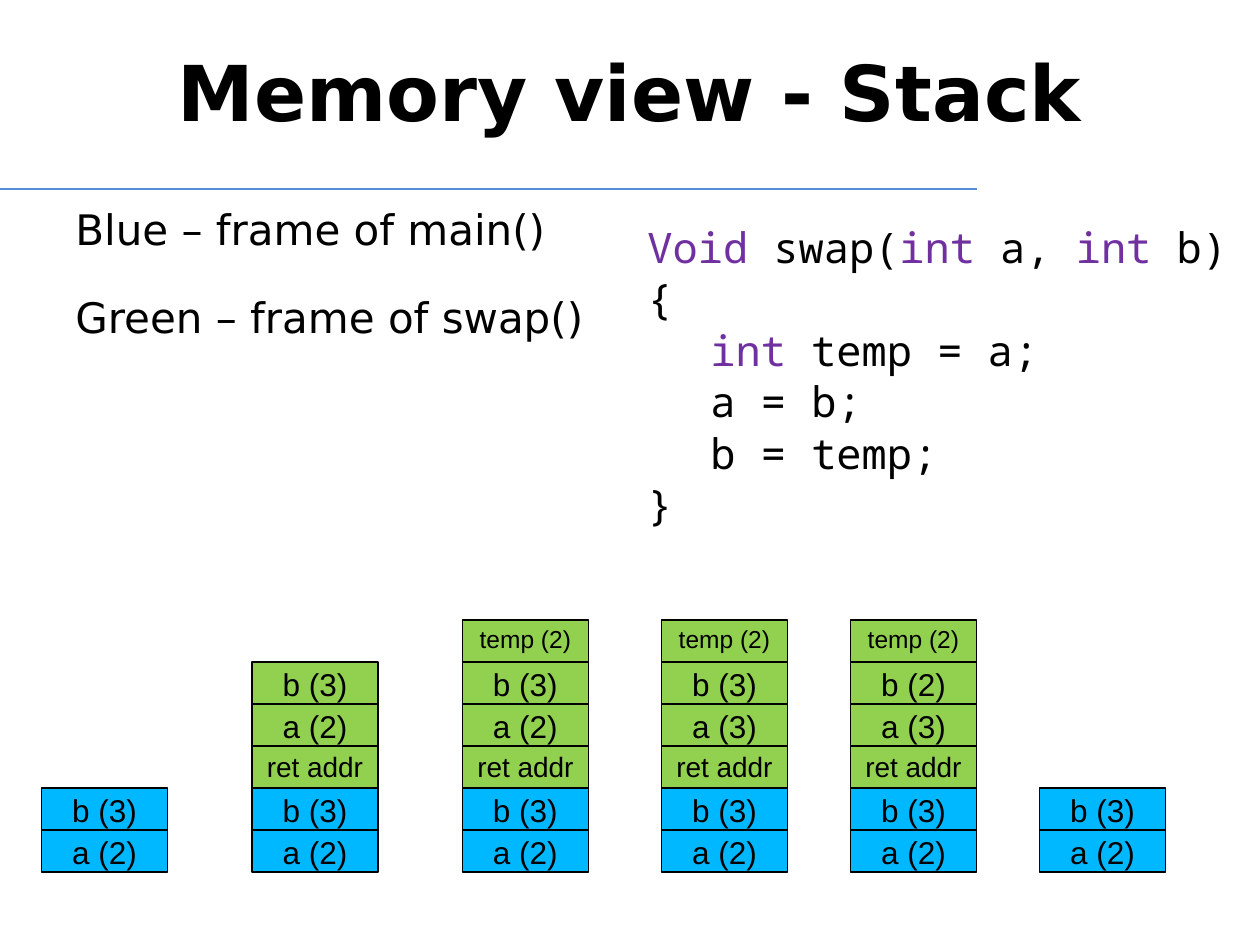
"""Build a slide showing how the call stack changes while swap() runs."""
from dataclasses import dataclass

import pptx
import pptx.dml.color
import pptx.enum.shapes
import pptx.enum.text
import pptx.oxml
import pptx.oxml.ns
import pptx.util
from pptx.util import Inches

COLORS = {"main": "00B8FF", "swap": "92D050", "rule": "558ED5",
          "keyword": "7030A0", "text": "000000"}
CELL_WIDTH, CELL_HEIGHT = 1, 1 / 3
STACK_BOTTOM = 6.92
LABEL_SIZES = {"temp (2)": 14, "ret addr": 16}


@dataclass
class Stack:
    """One state of the stack, each frame listed from the bottom up."""
    left: float
    main_frame: tuple[str, ...] = ("a (2)", "b (3)")
    swap_frame: tuple[str, ...] = ()


@dataclass
class CodeLine:
    """A line of code as pieces of text, each marked as keyword or not."""
    pieces: tuple[tuple[str, bool], ...]
    indent: float = 0.12


STACKS = [
    Stack(0.33),
    Stack(2, swap_frame=("ret addr", "a (2)", "b (3)")),
    Stack(3.67, swap_frame=("ret addr", "a (2)", "b (3)", "temp (2)")),
    Stack(5.25, swap_frame=("ret addr", "a (3)", "b (3)", "temp (2)")),
    Stack(6.75, swap_frame=("ret addr", "a (3)", "b (2)", "temp (2)")),
    Stack(8.25),
]
CODE = [
    CodeLine((("Void ", True), ("swap(", False), ("int ", True),
              ("a, ", False), ("int", True), (" b)", False))),
    CodeLine((("{", False),)),
    CodeLine((("int", True), (" temp = a;", False)), 0.62),
    CodeLine((("a = b;", False),), 0.62),
    CodeLine((("b = temp;", False),), 0.62),
    CodeLine((("}", False),)),
]
LEGEND = ["Blue – frame of main()", "Green – frame of swap()"]


def rgb(name: str) -> pptx.dml.color.RGBColor:
    """Return the named colour."""
    return pptx.dml.color.RGBColor.from_string(COLORS[name])


def style(font, typeface: str, size: float, bold: bool = False) -> None:
    """Set typeface, size and weight in the text colour."""
    font.name, font.size, font.bold = typeface, pptx.util.Pt(size), bold
    font.color.rgb = rgb("text")


def add_text_frame(slide, left: float, top: float, width: float, height: float):
    """Add a wrapping text box and return its frame."""
    box = slide.shapes.add_textbox(Inches(left), Inches(top), Inches(width), Inches(height))
    box.text_frame.word_wrap = True
    return box.text_frame


def next_paragraph(frame, index: int):
    """Return the first paragraph of the frame, or a new one after it."""
    return frame.add_paragraph() if index else frame.paragraphs[0]


def add_title(slide) -> None:
    """Place and format the title."""
    title = slide.shapes.title
    title.left, title.top = Inches(0.5), Inches(0.3)
    title.width, title.height = Inches(9), Inches(1.25)
    title.text_frame.text = "Memory view - Stack"
    title.text_frame.vertical_anchor = pptx.enum.text.MSO_ANCHOR.TOP
    heading = title.text_frame.paragraphs[0]
    heading.alignment = pptx.enum.text.PP_ALIGN.CENTER
    style(heading.font, "DejaVu Sans", 44, bold=True)


def add_rule(slide) -> None:
    """Draw the line below the title."""
    rule = slide.shapes.add_connector(
        pptx.enum.shapes.MSO_CONNECTOR.STRAIGHT, 0, Inches(1.5), Inches(7.75), Inches(1.5))
    rule.line.color.rgb = rgb("rule")
    rule.line.width = pptx.util.Pt(0.75)
    rule._element.spPr.append(pptx.oxml.parse_xml(
        f"<a:effectLst {pptx.oxml.ns.nsdecls('a')}/>"))


def add_cell(slide, left: float, top: float, label: str, frame_name: str) -> None:
    """Draw one stack entry in the colour of its frame."""
    cell = slide.shapes.add_shape(
        pptx.enum.shapes.MSO_SHAPE.RECTANGLE,
        Inches(left), Inches(top), Inches(CELL_WIDTH), Inches(CELL_HEIGHT))
    cell.shadow.inherit = False
    cell.fill.solid()
    cell.fill.fore_color.rgb = rgb(frame_name)
    cell.line.color.rgb = rgb("text")
    cell.line.width = pptx.util.Pt(0.75)
    cell.text_frame.text = label
    cell.text_frame.vertical_anchor = pptx.enum.text.MSO_ANCHOR.TOP
    entry = cell.text_frame.paragraphs[0]
    entry.alignment = pptx.enum.text.PP_ALIGN.CENTER
    entry.line_spacing = 0.93
    style(entry.font, "Arial", LABEL_SIZES.get(label, 18))


def add_stack(slide, stack: Stack) -> None:
    """Pile up the entries of both frames from the bottom."""
    entries = [(label, "main") for label in stack.main_frame]
    entries += [(label, "swap") for label in stack.swap_frame]
    for level, (label, frame_name) in enumerate(entries, start=1):
        add_cell(slide, stack.left, STACK_BOTTOM - level * CELL_HEIGHT, label, frame_name)


def add_legend(slide) -> None:
    """Explain the frame colours."""
    frame = add_text_frame(slide, 0.5, 1.55, 4.5, 1.78)
    for index, meaning in enumerate(LEGEND):
        paragraph = next_paragraph(frame, index)
        paragraph.text = meaning
        paragraph.line_spacing = 1.05
        paragraph.space_before = pptx.util.Pt(5.6)
        paragraph.space_after = pptx.util.Pt(14.2)
        style(paragraph.font, "DejaVu Sans", 24)


def add_code(slide) -> None:
    """Write the swap function with coloured keywords."""
    frame = add_text_frame(slide, 4.92, 1.67, 5.33, 3)
    frame.margin_top = Inches(0.08)
    for index, line in enumerate(CODE):
        paragraph = next_paragraph(frame, index)
        paragraph.line_spacing = 1.02
        paragraph._p.get_or_add_pPr().set("marL", str(Inches(line.indent)))
        style(paragraph.font, "Noto Sans Mono", 24)
        for text, is_keyword in line.pieces:
            run = paragraph.add_run()
            run.text = text
            if is_keyword:
                run.font.color.rgb = rgb("keyword")


def main() -> None:
    """Build and save the slide."""
    deck = pptx.Presentation()
    deck.slide_width, deck.slide_height = Inches(10), Inches(7.5)
    slide = deck.slides.add_slide(deck.slide_layouts[5])
    add_rule(slide)
    add_title(slide)
    for stack in STACKS:
        add_stack(slide, stack)
    add_legend(slide)
    add_code(slide)
    deck.save("out.pptx")


if __name__ == "__main__":
    main()
